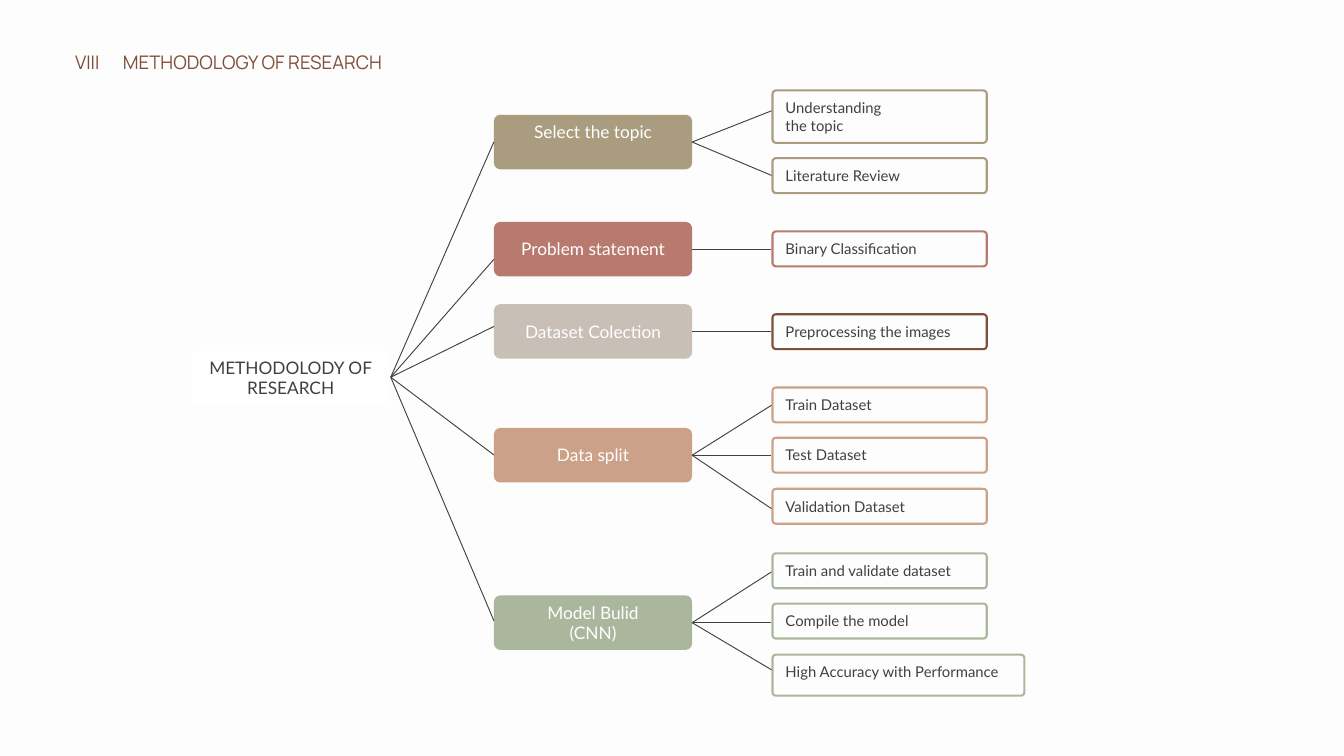
"""Build the research methodology tree slide."""
from pptx import Presentation
from pptx.dml.color import RGBColor
from pptx.enum.shapes import MSO_CONNECTOR, MSO_SHAPE
from pptx.enum.text import MSO_AUTO_SIZE, PP_ALIGN
from pptx.oxml.ns import qn
from pptx.util import Cm, Pt
from lxml.etree import SubElement

PAPER = RGBColor(0xFD, 0xFD, 0xFD)
WHITE = RGBColor(0xFF, 0xFF, 0xFF)
INK = RGBColor(0x40, 0x40, 0x40)
BROWN = RGBColor(0x80, 0x4F, 0x3B)
OLIVE = RGBColor(0xAA, 0x9D, 0x7F)
ROSE = RGBColor(0xB8, 0x7A, 0x6F)
STONE = RGBColor(0xC8, 0xBF, 0xB6)
SAND = RGBColor(0xCB, 0xA1, 0x88)
SAGE = RGBColor(0xAB, 0xB7, 0x9C)

ROOT_LEFT, ROOT_TOP = 7.24, 13.25
FORK_X, FORK_Y = 14.77, 14.26
TOPIC_LEFT, TOPIC_WIDTH, TOPIC_HEIGHT, TOPIC_RADIUS = 18.67, 7.49, 2.06, 0.24
STEP_LEFT, STEP_RADIUS, STEP_BORDER = 29.16, 0.13, 0.08

# Topic: text, top, text offset, branch end, colour, step colour, steps.
# Step: text, top, width, height, branch end.
TOPICS = [
    ("Select the topic", 4.34, 0.24, 5.36, OLIVE, OLIVE, [
        ("Understanding\nthe topic", 3.38, 8.18, 2.06, 4.19),
        ("Literature Review", 5.94, 8.18, 1.4, 6.63)]),
    ("Problem statement", 8.39, 0.63, 9.8, ROSE, ROSE, [
        ("Binary Classification", 8.71, 8.18, 1.4, 9.42)]),
    ("Dataset Colection", 11.5, 0.63, 12.34, STONE, BROWN, [
        ("Preprocessing the images", 11.84, 8.18, 1.4, 12.53)]),
    ("Data split", 16.18, 0.63, 17.2, SAND, SAND, [
        ("Train Dataset", 14.61, 8.18, 1.4, 15.32),
        ("Test Dataset", 16.51, 8.18, 1.4, 17.21),
        ("Validation Dataset", 18.44, 8.18, 1.4, 19.23)]),
    ("Model Bulid\n(CNN)", 22.51, 0.24, 23.47, SAGE, SAGE, [
        ("Train and validate dataset", 20.88, 8.18, 1.4, 21.62),
        ("Compile the model", 22.78, 8.18, 1.4, 23.54),
        ("High Accuracy with Performance", 24.71, 9.6, 1.63, 25.32)]),
]

deck = Presentation()
deck.slide_width, deck.slide_height = Cm(50.8), Cm(28.58)
page = deck.slides.add_slide(deck.slide_layouts[6])
page.background.fill.solid()
page.background.fill.fore_color.rgb = PAPER


def write(text, left, top, width, *, size, leading, color=INK, font="Lato",
          align=PP_ALIGN.LEFT):
    lines = text.split("\n")
    box = page.shapes.add_textbox(Cm(left), Cm(top), Cm(width),
                                  Pt(leading * len(lines)))
    frame = box.text_frame
    frame.margin_left = frame.margin_right = 0
    frame.margin_top = frame.margin_bottom = 0
    frame.word_wrap = True
    frame.auto_size = MSO_AUTO_SIZE.SHAPE_TO_FIT_TEXT
    for index, line in enumerate(lines):
        para = frame.add_paragraph() if index else frame.paragraphs[0]
        para.alignment = align
        para.line_spacing = Pt(leading)
        span = para.add_run()
        span.text = line
        span.font.name = font
        span.font.size = Pt(size)
        span.font.color.rgb = color


HEADING = dict(size=20, leading=23.4, color=BROWN, font="Manrope",
               align=PP_ALIGN.JUSTIFY)
LABEL = dict(size=18.5, leading=22.2, align=PP_ALIGN.CENTER)
DETAIL = dict(size=15.9, leading=19)

write("VIII", 2.84, 1.96, 1.5, **HEADING)
write("METHODOLOGY OF RESEARCH", 4.65, 1.96, 10.54, **HEADING)

blocks = [(ROOT_LEFT, ROOT_TOP, TOPIC_WIDTH, TOPIC_HEIGHT, WHITE, None)]
branches = []
for _, top, _, branch_end, color, step_color, steps in TOPICS:
    blocks.append((TOPIC_LEFT, top, TOPIC_WIDTH, TOPIC_HEIGHT, color, None))
    branches.append((FORK_X, FORK_Y, TOPIC_LEFT, branch_end))
    for _, step_top, width, height, step_end in steps:
        blocks.append((STEP_LEFT + STEP_BORDER / 2, step_top + STEP_BORDER / 2,
                       width - STEP_BORDER, height - STEP_BORDER, None, step_color))
        branches.append((TOPIC_LEFT + TOPIC_WIDTH, top + TOPIC_HEIGHT / 2,
                         STEP_LEFT, step_end))

for left, top, width, height, fill, border in blocks:
    block = page.shapes.add_shape(MSO_SHAPE.ROUNDED_RECTANGLE, Cm(left), Cm(top),
                                  Cm(width), Cm(height))
    block.shadow.inherit = False
    if fill is not None:
        block.adjustments[0] = TOPIC_RADIUS / height
        block.fill.solid()
        block.fill.fore_color.rgb = fill
        block.line.fill.background()
    else:
        block.adjustments[0] = STEP_RADIUS / height
        block.fill.background()
        block.line.color.rgb = border
        block.line.width = Cm(STEP_BORDER)

for start_x, start_y, end_x, end_y in branches:
    branch = page.shapes.add_connector(MSO_CONNECTOR.STRAIGHT, Cm(start_x),
                                       Cm(start_y), Cm(end_x), Cm(end_y))
    branch.line.color.rgb = INK
    branch.line.width = Pt(1)
    SubElement(branch._element.spPr, qn("a:effectLst"))

write("METHODOLODY OF\nRESEARCH", ROOT_LEFT + 0.28, ROOT_TOP + 0.24, 6.93, **LABEL)
for text, top, offset, _, _, _, steps in TOPICS:
    write(text, TOPIC_LEFT + 0.28, top + offset, 6.93, color=WHITE, **LABEL)
    for step_text, step_top, width, _, _ in steps:
        write(step_text, STEP_LEFT + 0.53, step_top + 0.36, width - 1.09, **DETAIL)

deck.save("out.pptx")
